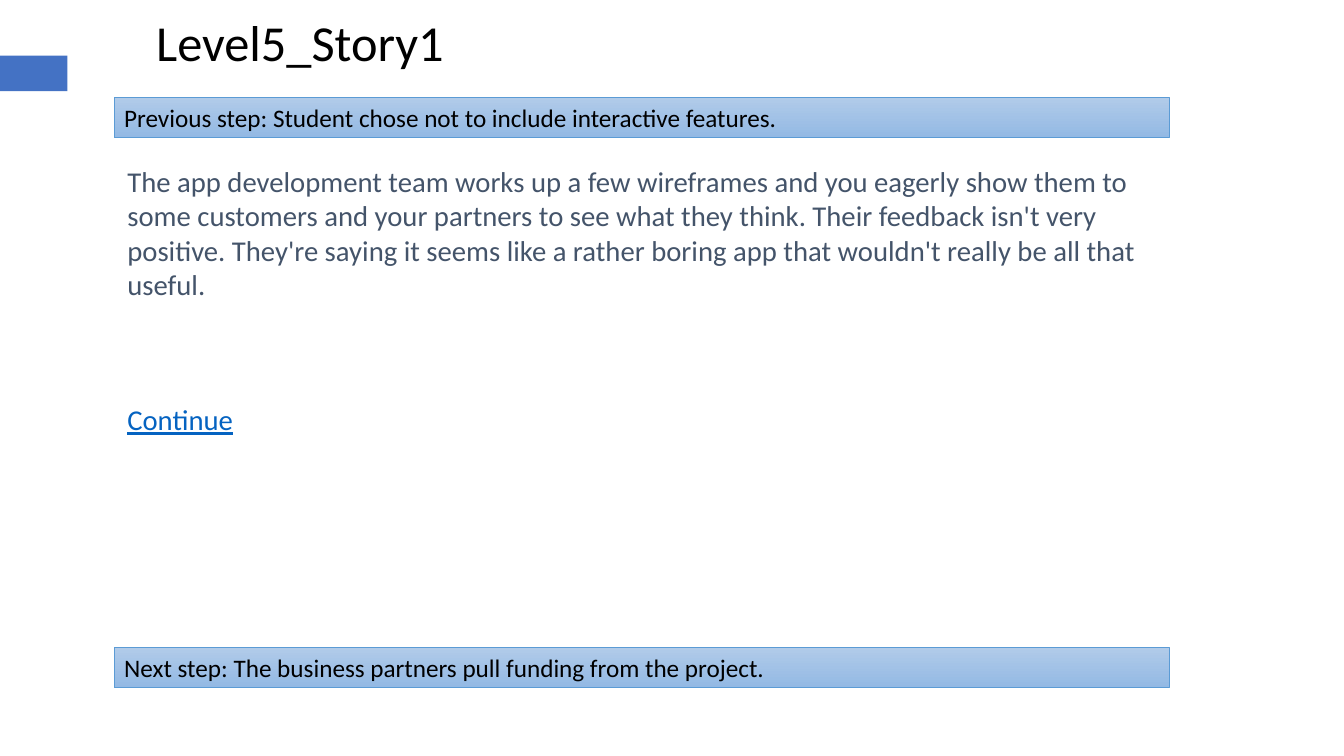
from pptx import Presentation
from pptx.dml.color import RGBColor
from pptx.enum.shapes import MSO_SHAPE
from pptx.enum.text import MSO_ANCHOR, MSO_AUTO_SIZE, PP_ALIGN
from pptx.util import Cm, Pt

FONT = "Calibri"
COLORS = {
    "marker": "4472C4",
    "title": "000000",
    "story": "44546A",
    "link": "0563C1",
    "bar_top": "B1CBE9",
    "bar_bottom": "93B9E4",
    "bar_line": "5B9BD5",
    "bar_text": "000000",
}
LEFT = Cm(2.88)
CONTENT_WIDTH = Cm(26.59)
BAR_HEIGHT = Cm(1.02)


def color(key):
    return RGBColor.from_string(COLORS[key])


def write(frame, text, size, color_key, underline=False):
    paragraph = frame.paragraphs[0]
    paragraph.alignment = PP_ALIGN.LEFT
    run = paragraph.add_run()
    run.text = text
    run.font.name = FONT
    run.font.size = Pt(size)
    run.font.color.rgb = color(color_key)
    if underline:
        run.font.underline = True


def add_rectangle(slide, left, top, width, height):
    rectangle = slide.shapes.add_shape(MSO_SHAPE.RECTANGLE, left, top, width, height)
    rectangle.shadow.inherit = False
    return rectangle


def add_marker(slide):
    marker = add_rectangle(slide, 0, Cm(1.4), Cm(1.7), Cm(0.9))
    marker.fill.solid()
    marker.fill.fore_color.rgb = color("marker")
    marker.line.fill.background()


def set_title(slide, text):
    title = slide.shapes.title
    title.left, title.top, title.width, title.height = Cm(3.68), Cm(0.15), Cm(8), Cm(1.8)
    frame = title.text_frame
    frame.word_wrap = True
    frame.auto_size = MSO_AUTO_SIZE.NONE
    frame.vertical_anchor = MSO_ANCHOR.TOP
    frame.margin_right = 0
    write(frame, text, 36, "title")


def add_step_bar(slide, top, text):
    bar = add_rectangle(slide, LEFT, top, CONTENT_WIDTH, BAR_HEIGHT)
    bar.fill.gradient()
    bar.fill.gradient_angle = 270
    for stop, key in zip(bar.fill.gradient_stops, ("bar_top", "bar_bottom")):
        stop.color.rgb = color(key)
    bar.line.color.rgb = color("bar_line")
    bar.line.width = Pt(0.5)
    frame = bar.text_frame
    frame.word_wrap = True
    frame.vertical_anchor = MSO_ANCHOR.TOP
    write(frame, text, 18, "bar_text")


def add_passage(slide, top, width, height, text, color_key, underline=False):
    passage = slide.shapes.add_textbox(LEFT, top, width, height)
    frame = passage.text_frame
    frame.word_wrap = True
    frame.margin_left = frame.margin_right = Cm(0.33)
    frame.margin_top = frame.margin_bottom = Cm(0.18)
    write(frame, text, 20.5, color_key, underline)


def main():
    presentation = Presentation()
    presentation.slide_width = Cm(33.87)
    presentation.slide_height = Cm(19.05)
    slide = presentation.slides.add_slide(presentation.slide_layouts[5])

    add_marker(slide)
    set_title(slide, "Level5_Story1")
    add_passage(
        slide, Cm(3.95), CONTENT_WIDTH, Cm(7.57),
        "The app development team works up a few wireframes and you eagerly show "
        "them to some customers and your partners to see what they think. Their "
        "feedback isn't very positive. They're saying it seems like a rather boring "
        "app that wouldn't really be all that useful.",
        "story",
    )
    add_passage(slide, Cm(9.94), Cm(16.26), Cm(2.67), "Continue", "link", underline=True)
    add_step_bar(slide, Cm(2.45), "Previous step: Student chose not to include interactive features.")
    add_step_bar(slide, Cm(16.31), "Next step: The business partners pull funding from the project.")

    presentation.save("out.pptx")


if __name__ == "__main__":
    main()
